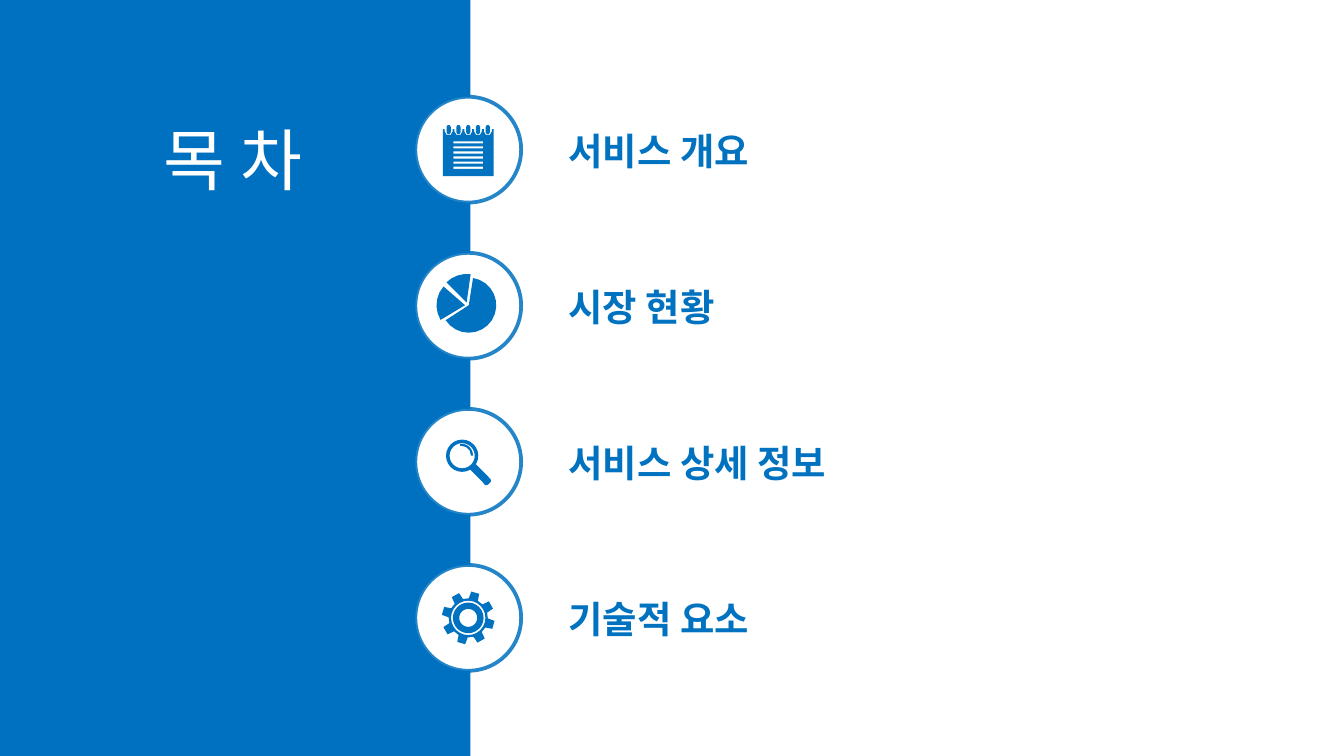
import math

import lxml.etree
import pptx
import pptx.dml.color
import pptx.enum.shapes
import pptx.enum.text
import pptx.oxml.ns
import pptx.util

Cm = pptx.util.Cm
SHAPES = pptx.enum.shapes.MSO_SHAPE

# Content
TITLE = "목 차"
TOPICS = ["서비스 개요", "시장 현황", "서비스 상세 정보", "기술적 요소"]

COLORS = {"panel": "0070C0", "accent": "0072C0", "white": "FFFFFF"}
FONT = "Noto Sans CJK KR"

# Layout, in centimetres
WIDTH, HEIGHT = 25.4, 14.29
PANEL_WIDTH = 8.89
CIRCLE_X, FIRST_Y, STEP, DIAMETER = 8.85, 2.83, 2.95, 2.0

# Magnifier parts around the circle centre: kind, box, rotation, adjustments
MAGNIFIER = [
    (SHAPES.RECTANGLE, (0.14, 0.04, 0.15, 0.36), 315, []),
    (SHAPES.ROUND_2_SAME_RECTANGLE, (0.29, 0.34, 0.15, 0.08), 135, [0.5, 0]),
    (SHAPES.DONUT, (-0.42, -0.42, 0.61, 0.61), 0, [0.11]),
    (SHAPES.BLOCK_ARC, (-0.34, -0.34, 0.43, 0.43), 0, [157.15, 1.61, 0.09]),
]

# Pie slices: apex x, apex y, radius, start and end angle
SLICES = [
    (0.01, -0.01, 0.52, -81, 147),
    (-0.06, -0.01, 0.54, 149, 221),
    (-0.03, -0.06, 0.54, 225, 278),
]


def rgb(name):
    return pptx.dml.color.RGBColor.from_string(COLORS[name])


def set_alpha(fill, percent):
    color = fill._xPr.find(".//" + pptx.oxml.ns.qn("a:srgbClr"))
    lxml.etree.SubElement(color, pptx.oxml.ns.qn("a:alpha"), val=str(percent * 1000))


def paint(shape, color):
    shape.shadow.inherit = False
    shape.fill.solid()
    shape.fill.fore_color.rgb = rgb(color)
    shape.line.fill.background()
    return shape


def add_shape(shapes, kind, box, color):
    return paint(shapes.add_shape(kind, *map(Cm, box)), color)


def fill_placeholder(holder, text, box, size, color, bold, align, anchor):
    holder.left, holder.top, holder.width, holder.height = map(Cm, box)
    frame = holder.text_frame
    frame.text = text
    frame.word_wrap = True
    frame.auto_size = pptx.enum.text.MSO_AUTO_SIZE.NONE
    frame.vertical_anchor = anchor
    para = frame.paragraphs[0]
    para.alignment = align
    para.space_before = pptx.util.Pt(0)
    para.font.name, para.font.size, para.font.bold = FONT, pptx.util.Pt(size), bold
    para.font.color.rgb = rgb(color)
    properties = para._p.get_or_add_pPr()
    properties.set("marL", "0")
    properties.set("indent", "0")
    default_run = properties.find(pptx.oxml.ns.qn("a:defRPr"))
    default_run.addprevious(default_run.makeelement(pptx.oxml.ns.qn("a:buNone")))
    latin = default_run.find(pptx.oxml.ns.qn("a:latin"))
    latin.addnext(latin.makeelement(pptx.oxml.ns.qn("a:ea"), {"typeface": FONT}))
    # Keep text in front of the panels
    holder._element.getparent().append(holder._element)


# Outlines around a circle centre
def arc(x, y, radius, start, end):
    degrees = 60 if radius < 0.1 else 15
    count = math.ceil(abs(end - start) / degrees)
    angles = [math.radians(start + (end - start) * i / count) for i in range(count + 1)]
    return [(x + radius * math.cos(a), y + radius * math.sin(a)) for a in angles]


def notepad_outlines():
    rings = [0.185 * i for i in range(-2, 3)]
    cover = [(-0.48, -0.39)]
    for x in rings:
        cover += [(x - 0.075, -0.39), *arc(x, -0.345, 0.075, 180, 0), (x + 0.075, -0.39)]
    cover += [(0.48, -0.39), (0.48, 0.5), (-0.48, 0.5)]
    capsules = [arc(x, -0.43, 0.04, 180, 360) + arc(x, -0.33, 0.04, 0, 180) for x in rings]
    rows = [-0.14 + 0.096 * i for i in range(6)]
    rules = [[(-0.28, y - 0.02), (0.28, y - 0.02), (0.28, y + 0.02), (-0.28, y + 0.02)]
             for y in rows]
    return [cover] + capsules + rules


def pie_outlines():
    return [[(x, y)] + arc(x, y, radius, start, end) for x, y, radius, start, end in SLICES]


def gear_outlines():
    rim = []
    for tooth in range(8):
        middle = -74.5 + 45 * tooth
        for radius, offset in [(0.37, -14), (0.5, -9), (0.5, 9), (0.37, 14)]:
            angle = math.radians(middle + offset)
            rim.append((radius * math.cos(angle), radius * math.sin(angle)))
    return [rim] + [arc(0, 0, radius, 0, 345) for radius in (0.325, 0.29, 0.17)]


def add_outline_icon(shapes, outlines, y):
    scaled = [[(round(px * 1000), round(py * 1000)) for px, py in line] for line in outlines]
    builder = shapes.build_freeform(*scaled[0][0], scale=Cm(1) / 1000)
    for index, points in enumerate(scaled):
        if index:
            builder.move_to(*points[0])
        builder.add_line_segments(points[1:], close=True)
    paint(builder.convert_to_shape(Cm(CIRCLE_X), Cm(y)), "accent")


def add_magnifier(shapes, y):
    group = shapes.add_group_shape()
    for kind, (left, top, width, height), rotation, adjustments in MAGNIFIER:
        box = (CIRCLE_X + left, y + top, width, height)
        part = add_shape(group.shapes, kind, box, "panel")
        part.rotation = rotation
        for index, value in enumerate(adjustments):
            part.adjustments[index] = value


def main():
    deck = pptx.Presentation()
    deck.slide_width, deck.slide_height = Cm(WIDTH), Cm(HEIGHT)
    # The comparison layout has a title and four body placeholders
    page = deck.slides.add_slide(deck.slide_layouts[4])
    shapes = page.shapes
    title, *bodies = list(page.placeholders)

    # Background panels
    right_box = (PANEL_WIDTH, 0, WIDTH - PANEL_WIDTH, HEIGHT)
    right_panel = add_shape(shapes, SHAPES.RECTANGLE, right_box, "white")
    set_alpha(right_panel.fill, 88)
    add_shape(shapes, SHAPES.RECTANGLE, (0, 0, PANEL_WIDTH, HEIGHT), "panel")

    # Title
    fill_placeholder(title, TITLE, (1.12, 1.4, 6.55, 3.2), 36, "white", False,
                     pptx.enum.text.PP_ALIGN.CENTER, pptx.enum.text.MSO_ANCHOR.MIDDLE)

    # Topics with their circles and icons
    icons = [notepad_outlines(), pie_outlines(), None, gear_outlines()]
    for row, (topic, body, outlines) in enumerate(zip(TOPICS, bodies, icons)):
        y = FIRST_Y + STEP * row
        circle_box = (CIRCLE_X - DIAMETER / 2, y - DIAMETER / 2, DIAMETER, DIAMETER)
        circle = add_shape(shapes, SHAPES.OVAL, circle_box, "white")
        circle.line.color.rgb = rgb("accent")
        circle.line.width = pptx.util.Pt(2)
        set_alpha(circle.line.fill, 85)
        if outlines:
            add_outline_icon(shapes, outlines, y)
        else:
            add_magnifier(shapes, y)
        fill_placeholder(body, topic, (10.49, y - 0.54, 11.99, 0.76), 20, "accent", True,
                         pptx.enum.text.PP_ALIGN.LEFT, pptx.enum.text.MSO_ANCHOR.TOP)

    deck.save("out.pptx")


if __name__ == "__main__":
    main()
